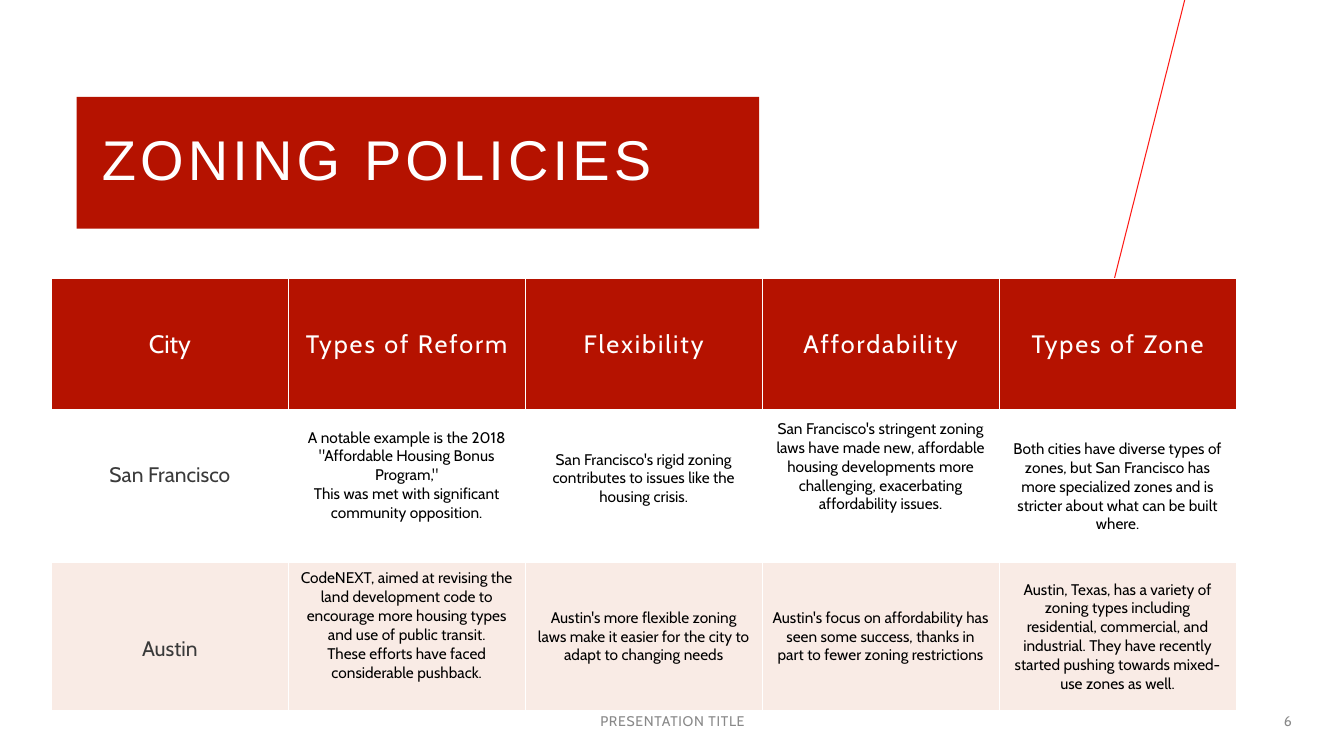
from pptx import Presentation
from pptx.dml.color import RGBColor
from pptx.enum.shapes import MSO_CONNECTOR as Link, MSO_SHAPE as Shape
from pptx.enum.text import MSO_ANCHOR as Anchor, PP_ALIGN as Align
from pptx.oxml.ns import qn
from pptx.util import Inches, Pt
from lxml.etree import SubElement as Sub

RED, WHITE, BLACK = "B51200", "FFFFFF", "000000"
ROSE, DARK, GRAY = "F9EBE5", "3A3A3A", "898989"

HEADS = ["City", "Types of Reform", "Flexibility", "Affordability", "Types of Zone"]
# Each row: fill, height, then per cell its paragraphs and extra top and bottom margins
ROWS = [
    (WHITE, 1.5, [
        (["San Francisco"], 0, 0.23),
        (['A notable example is the 2018 "Affordable Housing Bonus Program,"',
          "This was met with significant community opposition."], 0, 0.23),
        (["San Francisco's rigid zoning contributes to issues like the housing crisis."],
         0, 0.17),
        (["San Francisco's stringent zoning laws have made new, affordable housing "
          "developments more challenging, exacerbating affordability issues."], 0, 0.4),
        (["Both cities have diverse types of zones, but San Francisco has more "
          "specialized zones and is stricter about what can be built where."], 0, 0),
    ]),
    (ROSE, 1.47, [
        (["Austin"], 0.25, 0),
        (["CodeNEXT, aimed at revising the land development code to encourage more "
          "housing types and use of public transit.",
          "These efforts have faced considerable pushback."], 0, 0.22),
        (["Austin's more flexible zoning laws make it easier for the city to adapt to "
          "changing needs"], 0, 0),
        (["Austin's focus on affordability has seen some success, thanks in part to "
          "fewer zoning restrictions"], 0, 0),
        (["Austin, Texas, has a variety of zoning types including residential, "
          "commercial, and industrial. They have recently started pushing towards "
          "mixed-use zones as well."], 0, 0),
    ]),
]


def color(code):
    return RGBColor.from_string(code)


def write(frame, texts, size, code, align=Align.CENTER, face="Cabin", gap=0):
    """Fill a frame with paragraphs; gap is the letter spacing in points."""
    frame.word_wrap = True
    for i, text in enumerate(texts):
        para = frame.add_paragraph() if i else frame.paragraphs[0]
        para.alignment = align
        run = para.add_run()
        run.text = text
        if gap:
            run._r.get_or_add_rPr().set("spc", str(int(gap * 100)))
        font = para.font
        font.size, font.name = Pt(size), face
        font.color.rgb = color(code)


def add_line(slide, start, end):
    line = slide.shapes.add_connector(Link.STRAIGHT, *map(Inches, start + end))
    line.line.color.rgb = color("FD1B17")
    line.line.width = Pt(0.75)
    Sub(line._element.spPr, qn("a:effectLst"))


def add_title(slide, text):
    box = slide.shapes.add_shape(Shape.RECTANGLE, *map(Inches, (0.76, 0.96, 6.77, 1.31)))
    box.shadow.inherit = False
    box.fill.solid()
    box.fill.fore_color.rgb = color(RED)
    box.line.fill.background()
    frame = box.text_frame
    frame.margin_left = Inches(0.25)
    frame.vertical_anchor = Anchor.MIDDLE
    write(frame, [text], 40, WHITE, Align.LEFT, "Arial", 3)
    frame.paragraphs[0].line_spacing = 0.9


def add_label(slide, text, left, width, align, gap=0):
    box = slide.shapes.add_textbox(*map(Inches, (left, 6.95, width, 0.4)))
    box.text_frame.vertical_anchor = Anchor.MIDDLE
    write(box.text_frame, [text], 10, GRAY, align, gap=gap)


def style(cell, fill, base=1):
    """Set fill and white borders; base is the bottom border width in points."""
    props = cell._tc.get_or_add_tcPr()
    for side, width in zip("LRTB", (1, 1, 1, base)):
        edge = Sub(props, qn("a:ln" + side), w=str(Pt(width)))
        Sub(Sub(edge, qn("a:solidFill")), qn("a:srgbClr"), val=WHITE)
    cell.fill.solid()
    cell.fill.fore_color.rgb = color(fill)
    cell.vertical_anchor = Anchor.MIDDLE


def add_grid(slide):
    frame = slide.shapes.add_table(len(ROWS) + 1, len(HEADS),
                                   *map(Inches, (0.51, 2.76, 11.75, 4.29)))
    table = frame.table
    for col in table.columns:
        col.width = Inches(2.35)
    table.rows[0].height = Inches(1.32)
    for c, head in enumerate(HEADS):
        cell = table.cell(0, c)
        style(cell, RED, 3)
        write(cell.text_frame, [head], 18, WHITE, gap=1.4 if c else 0)
    for r, (fill, height, cells) in enumerate(ROWS, 1):
        table.rows[r].height = Inches(height)
        for c, (texts, top, low) in enumerate(cells):
            cell = table.cell(r, c)
            style(cell, fill)
            cell.margin_top = Inches(0.05 + top)
            cell.margin_bottom = Inches(0.05 + low)
            size, ink = (11, BLACK) if c else (15, DARK)
            write(cell.text_frame, texts, size, ink)


def main():
    deck = Presentation()
    deck.slide_width, deck.slide_height = Inches(13.33), Inches(7.5)
    slide = deck.slides.add_slide(deck.slide_layouts[6])
    add_line(slide, (11.75, 0), (10.07, 6.66))
    add_title(slide, "ZONING POLICIES")
    add_grid(slide)
    add_label(slide, "PRESENTATION TITLE", 4.42, 4.5, Align.CENTER, 0.5)
    add_label(slide, "6", 11.23, 1.68, Align.RIGHT)
    deck.save("out.pptx")


if __name__ == "__main__":
    main()
